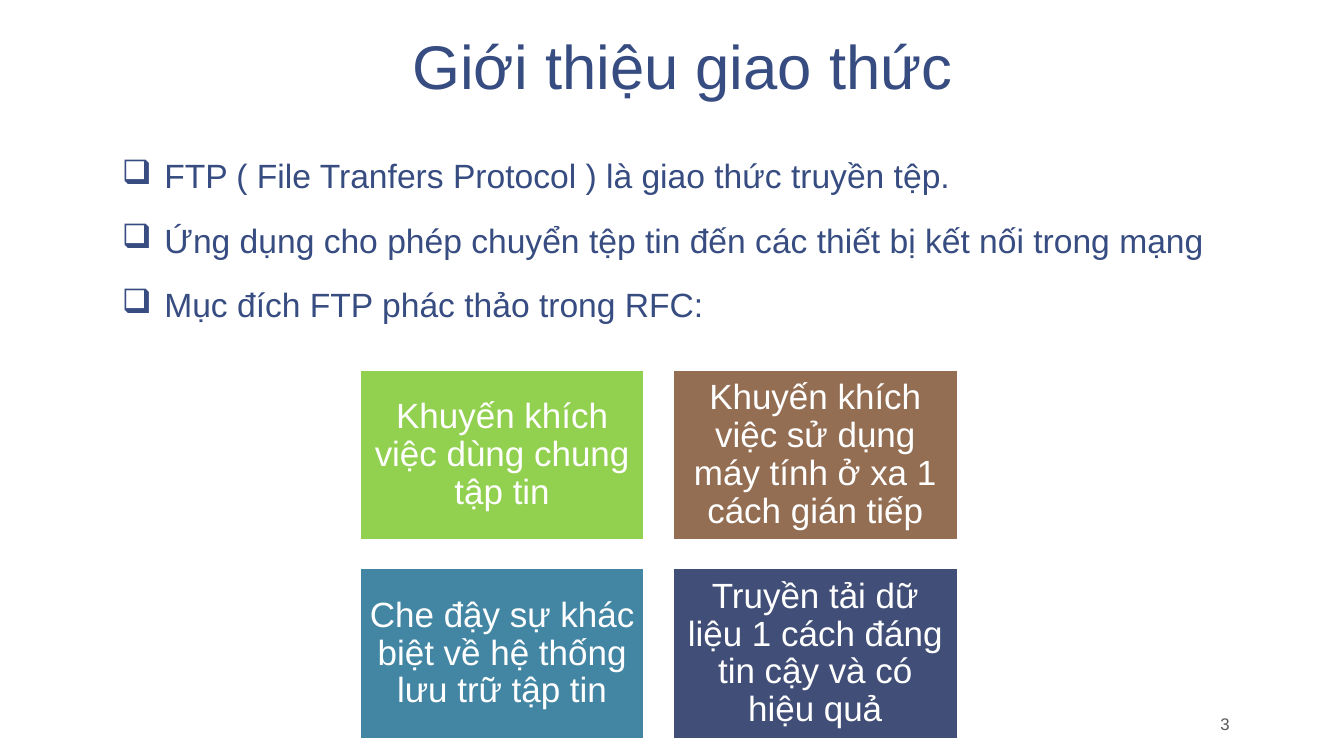
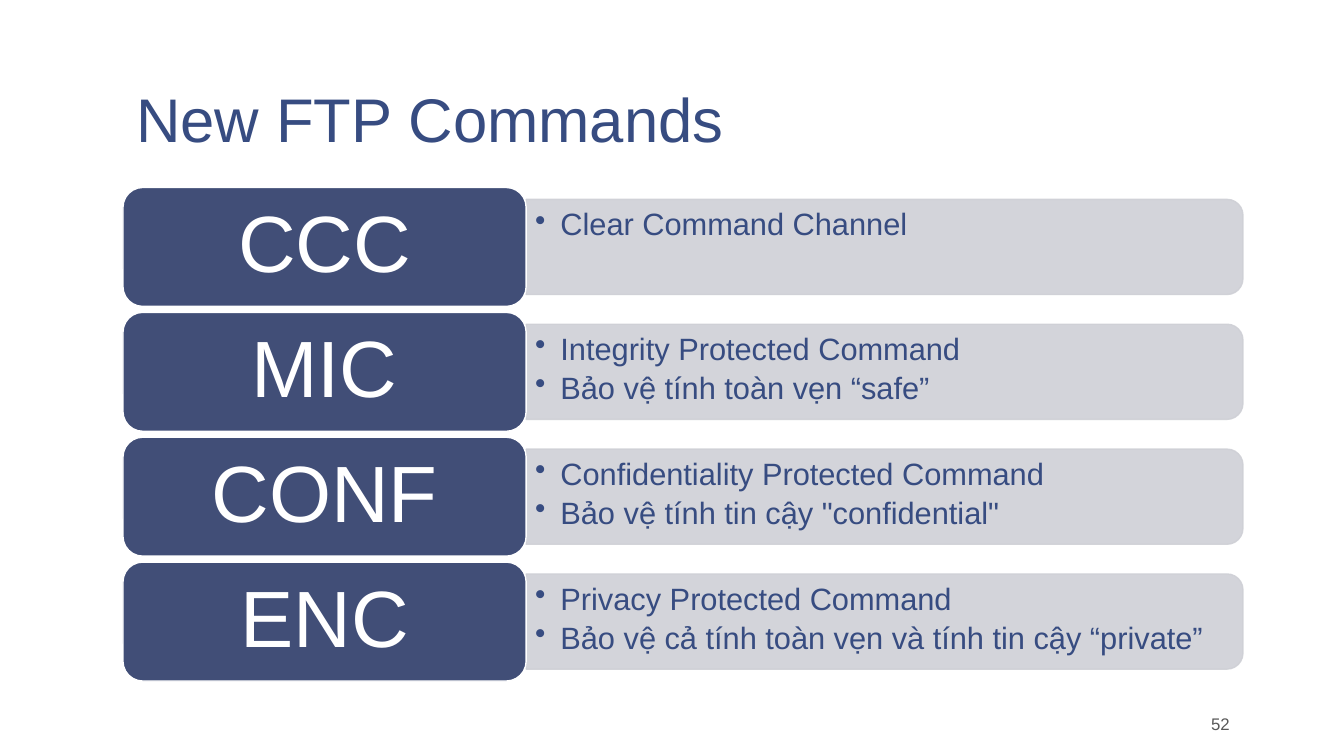
from lxml.etree import SubElement
from pptx import Presentation
from pptx.dml.color import RGBColor
from pptx.enum.shapes import MSO_SHAPE
from pptx.enum.text import MSO_ANCHOR, MSO_AUTO_SIZE, PP_ALIGN
from pptx.oxml.ns import qn
from pptx.util import Inches, Pt

WIDTH, HEIGHT = Inches(13.33), Inches(7.5)
FONT = "Arial"
INK, NAVY, PANEL, WHITE, GREY = "374C81", "414E77", "CFD0D6", "FFFFFF", "595959"
PAGE_INSETS = (0.13, 0.07)
MARGIN = 9.15

GOALS = [
    ("Khuyến khích việc dùng chung tập tin", "92D050"),
    ("Khuyến khích việc sử dụng máy tính ở xa 1 cách gián tiếp", "936E53"),
    ("Che đậy sự khác biệt về hệ thống lưu trữ tập tin", "4386A4"),
    ("Truyền tải dữ liệu 1 cách đáng tin cậy và có hiệu quả", NAVY),
]
COMMANDS = [
    ("CCC", ["Clear Command Channel"]),
    ("MIC", ["Integrity Protected Command", "Bảo vệ tính toàn vẹn “safe”"]),
    ("CONF", ["Confidentiality Protected Command",
              "Bảo vệ tính tin cậy \"confidential\""]),
    ("ENC", ["Privacy Protected Command",
             "Bảo vệ cả tính toàn vẹn và tính tin cậy “private”"]),
]


def color(value):
    return RGBColor.from_string(value)


def place(left, top, width, height):
    """Turn percentages of the slide into lengths."""
    return (round(WIDTH * left / 100), round(HEIGHT * top / 100),
            round(WIDTH * width / 100), round(HEIGHT * height / 100))


def add_bullet(paragraph, mark, indent):
    properties = paragraph._p.get_or_add_pPr()
    properties.set("marL", str(Inches(indent)))
    properties.set("indent", str(-Inches(indent)))
    bullet = SubElement(properties, qn("a:buChar"), char=mark)
    properties.find(qn("a:defRPr")).addprevious(bullet)


def write(shape, lines, size, ink, insets=PAGE_INSETS, anchor=MSO_ANCHOR.TOP,
          align=PP_ALIGN.LEFT, spacing=1, after=0, bullet=None):
    frame = shape.text_frame
    frame.word_wrap = True
    frame.auto_size = MSO_AUTO_SIZE.NONE
    frame.vertical_anchor = anchor
    frame.margin_left = frame.margin_right = Inches(insets[0])
    frame.margin_top = frame.margin_bottom = Inches(insets[1])
    frame.text = "\n".join(lines)
    for paragraph in frame.paragraphs:
        paragraph.alignment = align
        paragraph.line_spacing = spacing
        paragraph.space_before = Pt(0)
        paragraph.space_after = Pt(after)
        paragraph.font.name = FONT
        paragraph.font.size = Pt(size)
        paragraph.font.color.rgb = color(ink)
        if bullet:
            add_bullet(paragraph, *bullet)


def add_text(page, area, lines, size, ink, **style):
    write(page.shapes.add_textbox(*area), lines, size, ink, **style)


def add_block(page, kind, area, fill, line):
    block = page.shapes.add_shape(kind, *area)
    block.shadow.inherit = False
    block.fill.solid()
    block.fill.fore_color.rgb = color(fill)
    block.line.color.rgb = color(line)
    block.line.width = Pt(1)
    return block


def add_page(deck, title, height, align, number):
    page = deck.slides.add_slide(deck.slide_layouts[5])
    heading = page.shapes.title
    heading.left, heading.top, heading.width, heading.height = place(
        MARGIN, 1.07, 83.33, height)
    write(heading, [title], 44, INK, anchor=MSO_ANCHOR.BOTTOM, align=align,
          spacing=0.85)
    add_text(page, place(83.4, 93.33, 9.08, 4.67), [number], 12, GREY,
             anchor=MSO_ANCHOR.BOTTOM, align=PP_ALIGN.RIGHT)
    return page


def add_goals(page):
    for index, (text, fill) in enumerate(GOALS):
        row, column = divmod(index, 2)
        area = place(26.78 + 23.3 * column, 48.93 + 26.27 * row, 21.15, 22.53)
        card = add_block(page, MSO_SHAPE.RECTANGLE, area, fill, WHITE)
        write(card, [text], 25, WHITE, insets=(0.1, 0.1),
              anchor=MSO_ANCHOR.MIDDLE, align=PP_ALIGN.CENTER,
              spacing=0.9, after=8.75)


def add_panel(page, area):
    left, top, width, height = area
    shift = (width - height) // 2
    upright = (left + shift, top - shift, height, width)
    panel = add_block(page, MSO_SHAPE.ROUND_2_SAME_RECTANGLE, upright, PANEL, PANEL)
    panel.rotation = 90
    for tint in panel._element.spPr.iter(qn("a:srgbClr")):
        SubElement(tint, qn("a:alpha"), val="90000")


def add_commands(page):
    label_width, label_height = 30, 15.73
    panel_height, text_height = label_height * 0.8, 11.33
    panel_left = MARGIN + label_width
    for row, (name, details) in enumerate(COMMANDS):
        top = 24.8 + label_height * 1.05 * row
        middle = top + label_height / 2
        add_panel(page, place(panel_left, middle - panel_height / 2,
                              53.33, panel_height))
        add_text(page, place(panel_left, middle - text_height / 2, 52.95, text_height),
                 details, 22, INK, insets=(0.09, 0.05), spacing=0.9, after=4,
                 bullet=("•", 0.25))
        label = add_block(page, MSO_SHAPE.ROUNDED_RECTANGLE,
                          place(MARGIN, top, label_width, label_height), NAVY, WHITE)
        write(label, [name], 57, WHITE, insets=(0.3, 0.18),
              anchor=MSO_ANCHOR.MIDDLE, align=PP_ALIGN.CENTER,
              spacing=0.9, after=20)


def main():
    deck = Presentation()
    deck.slide_width, deck.slide_height = WIDTH, HEIGHT

    page = add_page(deck, "Giới thiệu giao thức", 13.33, PP_ALIGN.CENTER, "3")
    add_text(page, place(8.1, 20, 84.4, 80), [
        "FTP ( File Tranfers Protocol ) là giao thức truyền tệp.",
        "Ứng dụng cho phép chuyển tệp tin đến các thiết bị kết nối trong mạng",
        "Mục đích FTP phác thảo trong RFC:",
    ], 24, INK, spacing=0.95, after=18.7, bullet=("❑", 0.42))
    add_goals(page)

    page = add_page(deck, "New FTP Commands", 20.4, PP_ALIGN.LEFT, "52")
    add_commands(page)

    deck.save("out.pptx")


if __name__ == "__main__":
    main()
